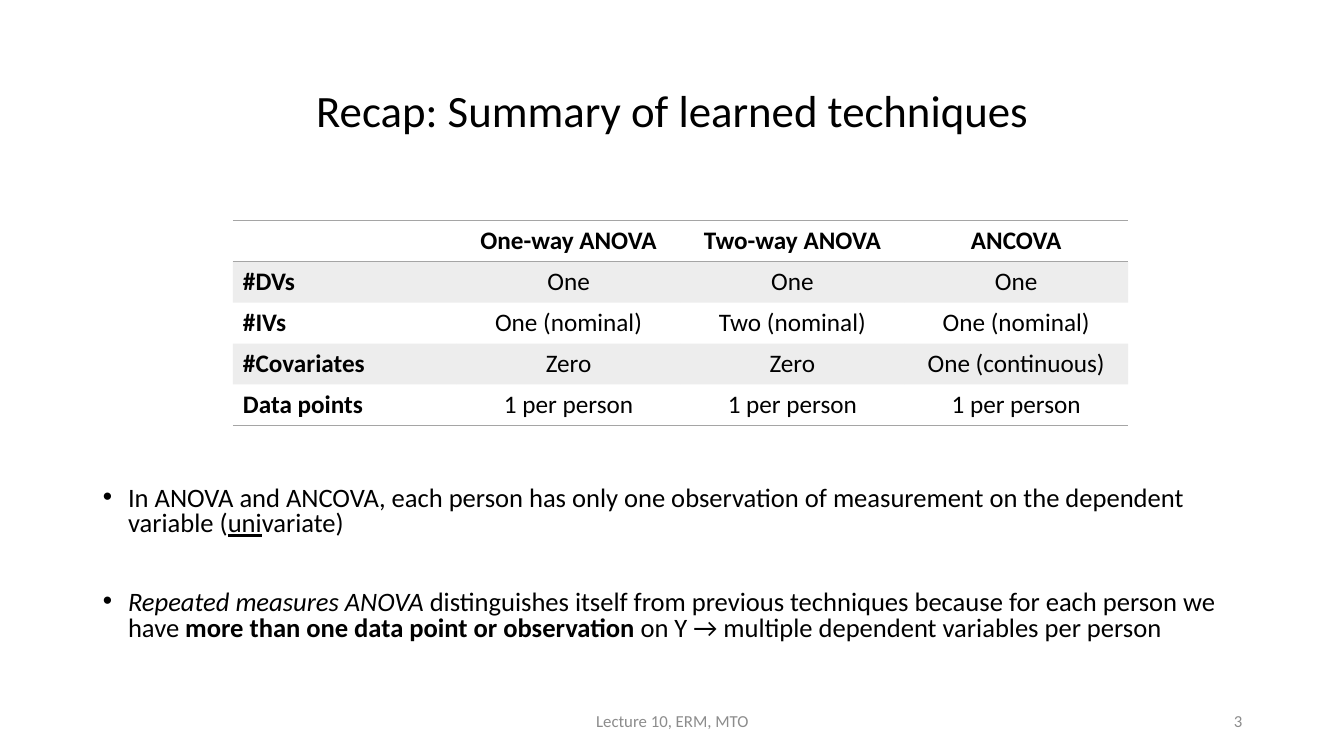
from lxml import etree
from pptx import Presentation, util as u
from pptx.dml.color import RGBColor
from pptx.enum import text as t
from pptx.oxml.ns import qn

PX = 9144  # 100 px to the inch
FONT = "Calibri"
INK = {"text": "000000", "muted": "8C8C8C", "rule": "A5A5A5"}
PLAIN = "{2D5ABB26-0587-4C30-8999-92F81FD0307C}"  # table without style or grid
MID, LEFT, RIGHT = t.PP_ALIGN.CENTER, t.PP_ALIGN.LEFT, t.PP_ALIGN.RIGHT

ROWS = [
    ["", "One-way ANOVA", "Two-way ANOVA", "ANCOVA"],
    ["#DVs", "One", "One", "One"],
    ["#IVs", "One (nominal)", "Two (nominal)", "One (nominal)"],
    ["#Covariates", "Zero", "Zero", "One (continuous)"],
    ["Data points", "1 per person", "1 per person", "1 per person"],
]
POINTS = [
    [("In ANOVA and ANCOVA, each person has only one observation of "
      "measurement on the dependent variable (", ""),
     ("uni", "underline"), ("variate)", "")],
    [("Repeated measures ANOVA", "italic"),
     (" distinguishes itself from previous techniques because for each "
      "person we have ", ""),
     ("more than one data point or observation ", "bold"),
     ("on Y → multiple dependent variables per person", "")],
]


def place(shape, box):
    shape.left, shape.top, shape.width, shape.height = (n * PX for n in box)


def add_run(para, words, size, tone="text", style=""):
    run = para.add_run()
    run.text = words
    run.font.name, run.font.size = FONT, u.Pt(size)
    run.font.color.rgb = RGBColor.from_string(INK[tone])
    if style:
        setattr(run.font, style, True)


def add_title(slide, box):
    title = slide.shapes.title
    place(title, box)
    frame = title.text_frame
    frame.auto_size = t.MSO_AUTO_SIZE.NONE
    frame.vertical_anchor = t.MSO_ANCHOR.MIDDLE
    para = frame.paragraphs[0]
    para.alignment, para.line_spacing = MID, 0.9
    add_run(para, "Recap: Summary of learned techniques", 32)


def add_list(slide, box):
    body = slide.placeholders[1]
    place(body, box)
    frame = body.text_frame
    frame.auto_size = t.MSO_AUTO_SIZE.NONE
    for i, point in enumerate(POINTS):
        para = frame.add_paragraph() if i else frame.paragraphs[0]
        para.line_spacing = 0.8
        para.space_before = u.Pt(38 if i else 0)
        props = para._p.get_or_add_pPr()
        props.set("marL", str(25 * PX))
        props.set("indent", str(-25 * PX))
        for words, style in point:
            add_run(para, words, 19, style=style)


def add_rule(cell, tag, spot):
    line = etree.Element(qn("a:" + tag), w=str(u.Pt(1)))
    fill = etree.SubElement(line, qn("a:solidFill"))
    etree.SubElement(fill, qn("a:srgbClr"), val=INK["rule"])
    cell._tc.get_or_add_tcPr().insert(spot, line)


def shade(cell):
    cell.fill.solid()
    cell.fill.fore_color.rgb = RGBColor.from_string(INK["rule"])
    color = cell._tc.tcPr.find(".//" + qn("a:srgbClr"))
    etree.SubElement(color, qn("a:alpha"), val="20000")


def add_grid(slide, box):
    x, y, w, h = (n * PX for n in box)
    grid = slide.shapes.add_table(len(ROWS), len(ROWS[0]), x, y, w, h).table
    grid._tbl.tblPr.find(qn("a:tableStyleId")).text = PLAIN
    last = len(ROWS) - 1
    for r, row in enumerate(ROWS):
        for c, words in enumerate(row):
            cell = grid.cell(r, c)
            if r % 2:
                shade(cell)
            else:
                cell.fill.background()
            # Rules above and below the head, and under the last row
            if r == 0:
                add_rule(cell, "lnT", 0)
                add_rule(cell, "lnB", 1)
            elif r == last:
                add_rule(cell, "lnB", 0)
            para = cell.text_frame.paragraphs[0]
            para.alignment = MID if c else LEFT
            if words:
                add_run(para, words, 18, style="" if r and c else "bold")


def add_note(slide, box, words, align):
    note = slide.shapes.add_textbox(*(n * PX for n in box))
    frame = note.text_frame
    frame.word_wrap = True
    frame.vertical_anchor = t.MSO_ANCHOR.MIDDLE
    frame.paragraphs[0].alignment = align
    add_run(frame.paragraphs[0], words, 12, "muted")


def main():
    deck = Presentation()
    deck.slide_width, deck.slide_height = 1333 * PX, 750 * PX
    slide = deck.slides.add_slide(deck.slide_layouts[1])
    add_title(slide, (92, 40, 1150, 145))
    add_list(slide, (92, 478, 1150, 198))
    add_grid(slide, (231, 219, 888, 203))
    # Footer and page number
    add_note(slide, (442, 695, 450, 40), "Lecture 10, ERM, MTO", MID)
    add_note(slide, (942, 695, 300, 40), "3", RIGHT)
    deck.save("out.pptx")


if __name__ == "__main__":
    main()
